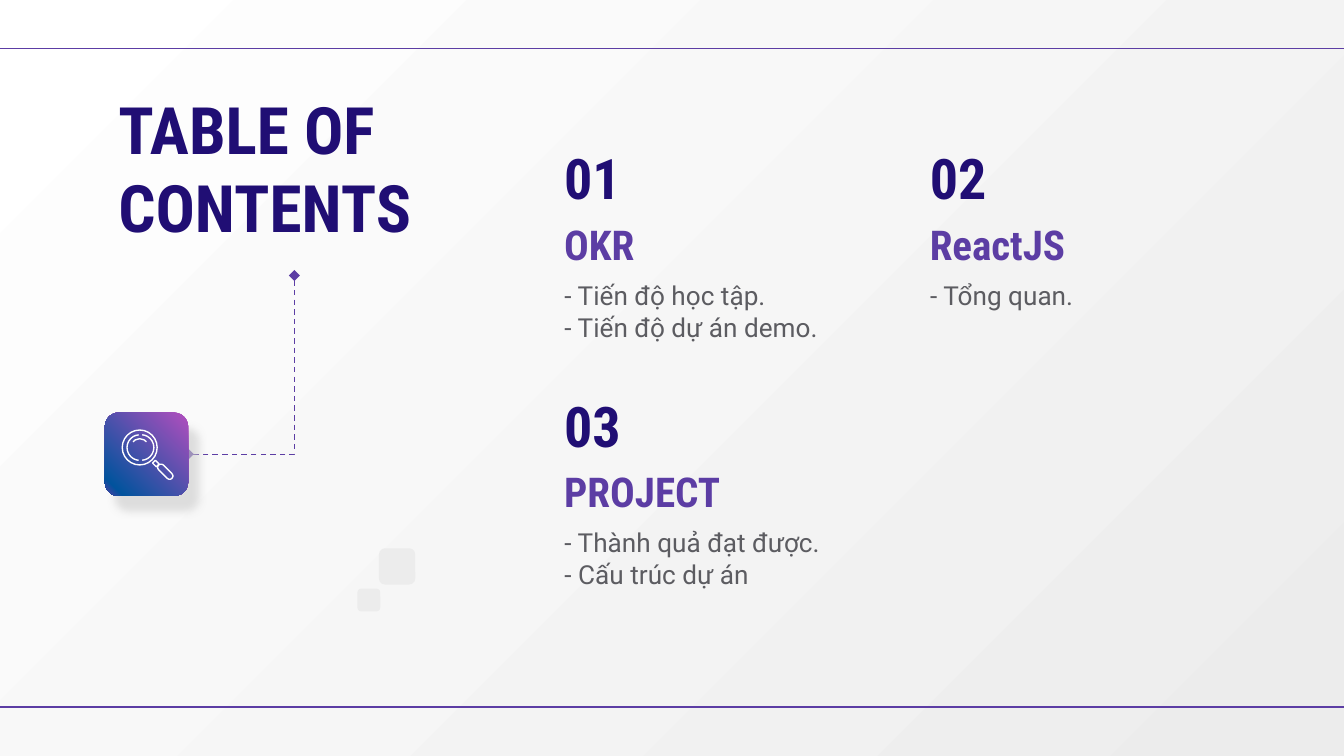
"""Build the table of contents slide with three numbered sections."""
import copy

import lxml.etree
import pptx
import pptx.dml.color
import pptx.enum.dml
import pptx.enum.shapes
import pptx.enum.text
import pptx.oxml
import pptx.oxml.ns
import pptx.util

Inches = pptx.util.Inches
Pt = pptx.util.Pt
SHAPE = pptx.enum.shapes.MSO_SHAPE
CONNECTOR = pptx.enum.shapes.MSO_CONNECTOR
ANCHOR = pptx.enum.text.MSO_ANCHOR
qn = pptx.oxml.ns.qn
COLORS = {
    name: pptx.dml.color.RGBColor.from_string(value)
    for name, value in {
        "navy": "200E74",
        "purple": "5C3DA4",
        "gray": "5C5C61",
        "pale": "ECECEC",
        "white": "FFFFFF",
        "orchid": "B24EBE",
        "blue": "01539D",
    }.items()
}


def write(box, area, lines, size, font, color, bold=True, anchor=ANCHOR.BOTTOM):
    box.left, box.top, box.width, box.height = [Inches(v) for v in area]
    frame = box.text_frame
    frame.word_wrap = True
    frame.auto_size = pptx.enum.text.MSO_AUTO_SIZE.NONE
    frame.vertical_anchor = anchor
    frame.margin_left = frame.margin_right = Inches(0.1)
    frame.margin_top = frame.margin_bottom = Inches(0.1)
    for number, line in enumerate(lines):
        paragraph = frame.add_paragraph() if number else frame.paragraphs[0]
        paragraph.alignment = pptx.enum.text.PP_ALIGN.LEFT
        paragraph.space_before = Pt(0)
        properties = paragraph._p.get_or_add_pPr()
        properties.set("marL", "0")
        properties.set("indent", "0")
        lxml.etree.SubElement(properties, qn("a:buNone"))
        run = paragraph.add_run()
        run.text = line
        run.font.size = Pt(size)
        run.font.name = font
        run.font.bold = bold
        run.font.color.rgb = COLORS[color]


def add_line(kind, x1, y1, x2, y2):
    line = slide.shapes.add_connector(kind, Inches(x1), Inches(y1), Inches(x2), Inches(y2))
    line.line.color.rgb = COLORS["purple"]
    line.line.width = Pt(0.75)
    lxml.etree.SubElement(line._element.spPr, qn("a:effectLst"))
    return line


deck = pptx.Presentation()
deck.slide_width = Inches(10)
deck.slide_height = deck.slide_width * 9 // 16
slide = deck.slides.add_slide(deck.slide_layouts.get_by_name("Comparison"))

backdrop = slide.background.fill
backdrop.gradient()
backdrop.gradient_angle = 315
for stop, color in zip(backdrop.gradient_stops, ("white", "pale")):
    stop.color.rgb = COLORS[color]

for y in (0.36, 5.26):
    add_line(CONNECTOR.STRAIGHT, 0, y, 10, y)

write(slide.shapes.title, (0.78, 0.56, 2.82, 1.49), ["TABLE OF CONTENTS"],
      35, "Roboto Condensed", "navy", anchor=ANCHOR.TOP)

sections = [
    ("OKR", ["- Tiến độ học tập.", "- Tiến độ dự án demo."]),
    ("ReactJS", ["- Tổng quan."]),
    ("PROJECT", ["- Thành quả đạt được.", "- Cấu trúc dự án"]),
]
details = list(slide.placeholders)[1:5]
for index, (heading, points) in enumerate(sections):
    row, column = divmod(index, 2)
    x, y = 4.1 + 2.72 * column, 0.99 + 1.84 * row
    for label, top, height, size, color in (
        (f"{index + 1:02d}", y, 0.68, 30, "navy"),
        (heading, y + 0.68, 0.43, 22, "purple"),
    ):
        write(slide.shapes.add_textbox(0, 0, 0, 0), (x, top, 2.4, height),
              [label], size, "Roboto Condensed", color)
    write(details[index], (x, y + 0.99, 2.4, 0.64), points,
          14, "Roboto", "gray", bold=False, anchor=ANCHOR.TOP)
unused = details[-1]._element
unused.getparent().remove(unused)

for x, y, side in ((2.82, 4.08, 0.27), (2.66, 4.38, 0.17)):
    square = slide.shapes.add_shape(
        SHAPE.ROUNDED_RECTANGLE, Inches(x), Inches(y), Inches(side), Inches(side))
    square.shadow.inherit = False
    square.fill.solid()
    square.fill.fore_color.rgb = COLORS["pale"]
    square.line.fill.background()

elbow = add_line(CONNECTOR.ELBOW, 1.13, 2.32, 2.46, 3.11)
elbow.line.dash_style = pptx.enum.dml.MSO_LINE.DASH
elbow._element.spPr.find(qn("a:xfrm")).set("rot", "5400000")
elbow._element.spPr.find(qn("a:prstGeom")).set("prst", "bentConnector2")
for end in ("a:headEnd", "a:tailEnd"):
    lxml.etree.SubElement(elbow.line._get_or_add_ln(), qn(end), type="diamond")

tile = slide.shapes.add_shape(
    SHAPE.ROUNDED_RECTANGLE, Inches(0.78), Inches(3.07), Inches(0.62), Inches(0.62))
tile.line.fill.background()
tile.fill.gradient()
tile.fill.gradient_angle = 225
stops = tile._element.spPr.find(qn("a:gradFill")).find(qn("a:gsLst"))
stops.append(copy.deepcopy(stops[-1]))
for stop, position, color in zip(stops, (0, 89, 100), ("orchid", "blue", "purple")):
    stop.set("pos", str(position * 1000))
    for old in list(stop):
        stop.remove(old)
    lxml.etree.SubElement(stop, qn("a:srgbClr"), val=str(COLORS[color]))
tile._element.spPr.append(pptx.oxml.parse_xml(
    '<a:effectLst xmlns:a="http://schemas.openxmlformats.org/drawingml/2006/main">'
    '<a:outerShdw blurRad="57150" dist="124460" dir="3300000" algn="bl" rotWithShape="0">'
    '<a:srgbClr val="CCCCCC"><a:alpha val="60000"/></a:srgbClr>'
    "</a:outerShdw></a:effectLst>"))

magnifier = [
    (SHAPE.OVAL, 1.04, 3.33, 0.26, 0.26, 0, ()),
    (SHAPE.ARC, 1.04, 3.33, 0.19, 0.19, 0, (95, 265)),
    (SHAPE.ARC, 1.05, 3.33, 0.19, 0.19, 0, (275, 85)),
    (SHAPE.ARC, 1.04, 3.33, 0.13, 0.13, 0, (220, 320)),
    (SHAPE.RECTANGLE, 1.16, 3.45, 0.04, 0.03, 45, ()),
    (SHAPE.ROUNDED_RECTANGLE, 1.23, 3.51, 0.14, 0.05, 45, ()),
]
for kind, x, y, width, height, turn, angles in magnifier:
    stroke = slide.shapes.add_shape(
        kind, Inches(x - width / 2), Inches(y - height / 2), Inches(width), Inches(height))
    stroke.rotation = turn
    stroke.shadow.inherit = False
    stroke.fill.background()
    stroke.line.color.rgb = COLORS["white"]
    stroke.line.width = Pt(0.75)
    for position, angle in enumerate(angles):
        stroke.adjustments[position] = angle * 0.6
    if kind == SHAPE.ROUNDED_RECTANGLE:
        stroke.adjustments[0] = 0.5

deck.save("out.pptx")
